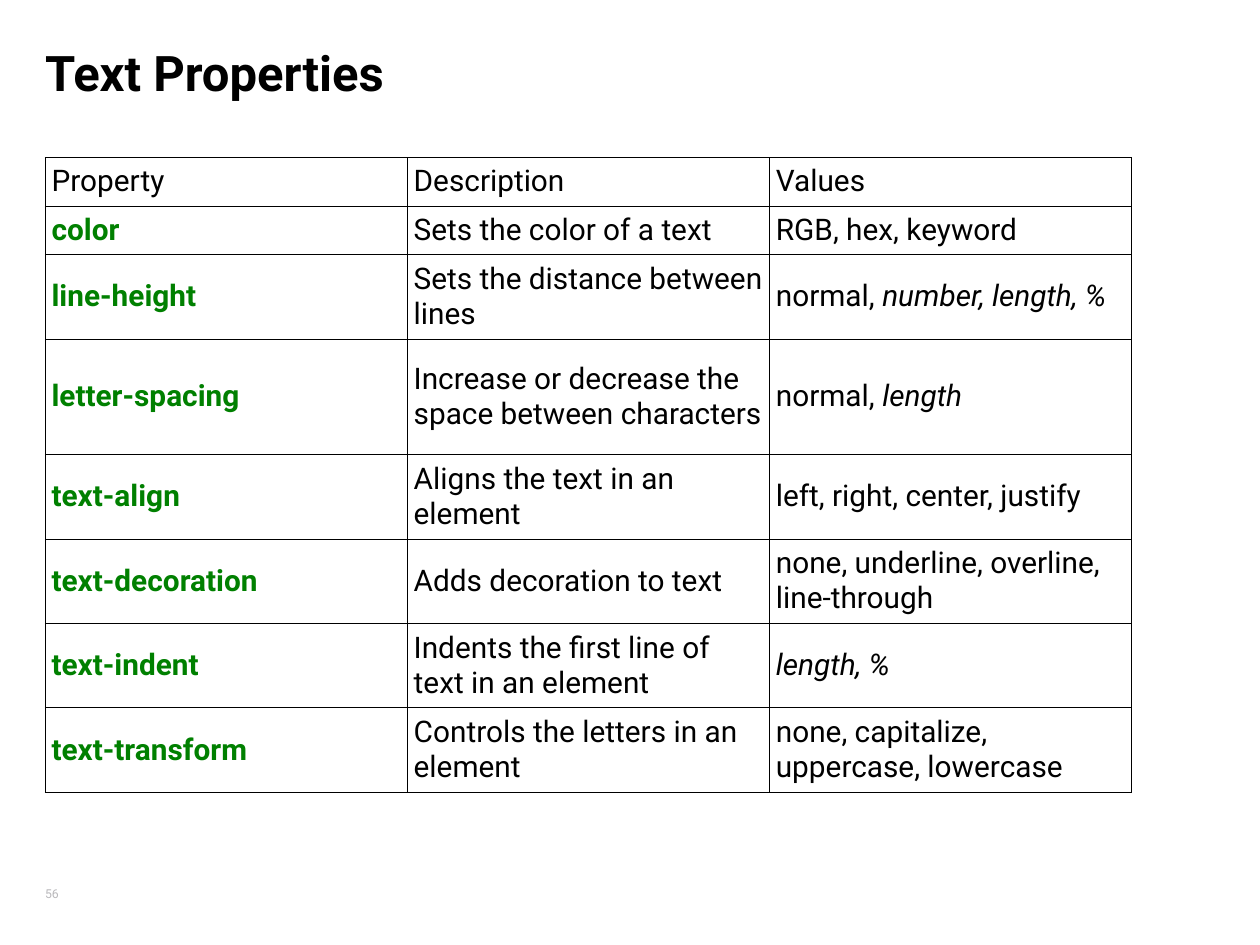
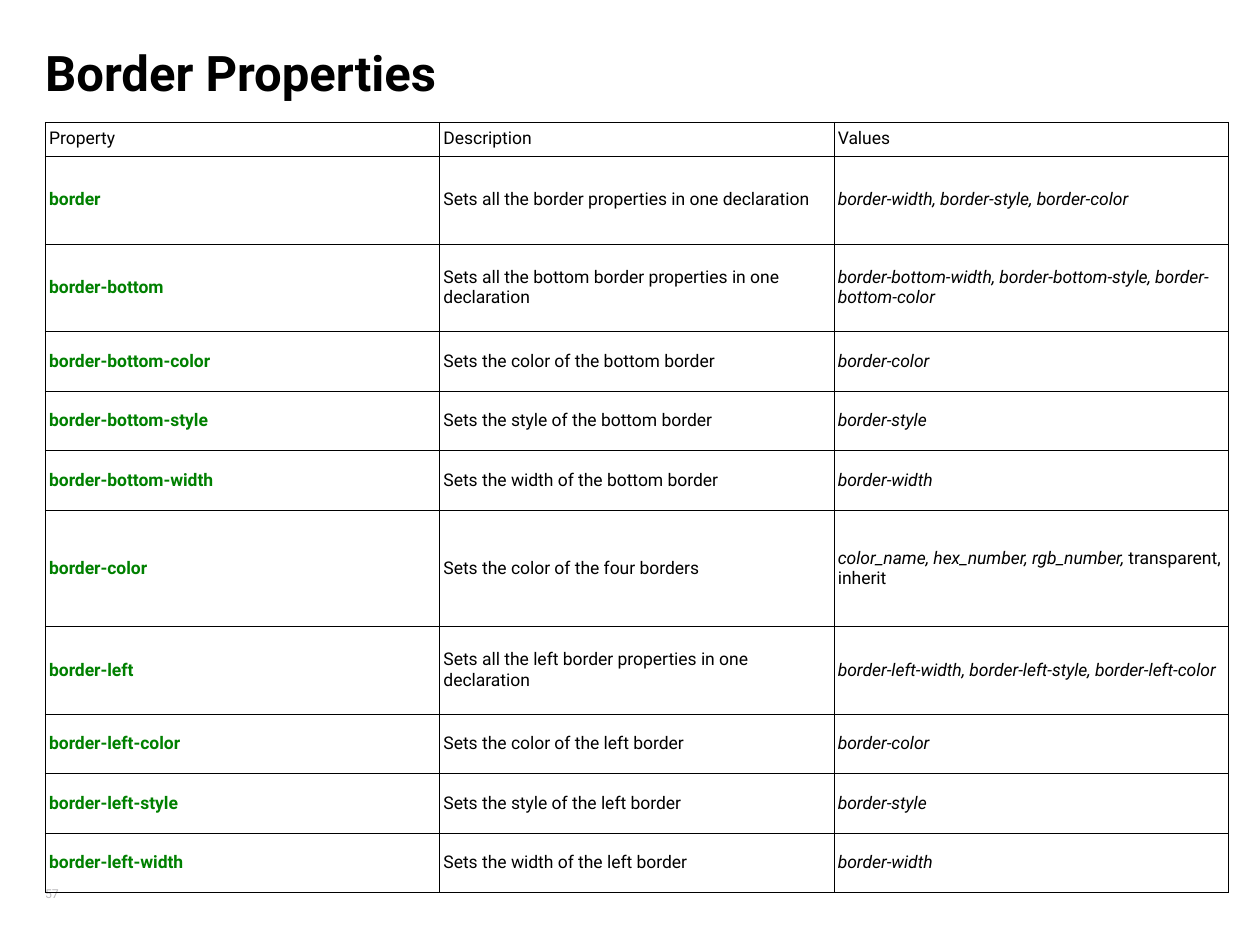
from lxml.etree import SubElement
from pptx import Presentation
from pptx.dml.color import RGBColor
from pptx.enum.text import MSO_ANCHOR as ANC, MSO_AUTO_SIZE as FIT, PP_ALIGN as AL
from pptx.oxml.ns import qn
from pptx.util import Cm, Pt

FONT = "Roboto"
BLACK, GREEN, GREY = "000000", "008000", "B9B8BB"
LEFT = 0.91
HEADER = ("Property", "Description", "Values")

TEXT_ROWS = [
    (0.84, "color", "Sets the color of a text", "RGB, hex, keyword"),
    (1.57, "line-height", "Sets the distance between lines", "normal, *number, length, %*"),
    (2.33, "letter-spacing", "Increase or decrease the space between characters",
     "normal, *length*"),
    (1.57, "text-align", "Aligns the text in an element", "left, right, center, justify"),
    (1.57, "text-decoration", "Adds decoration to text",
     "none, underline, overline, line-through"),
    (1.57, "text-indent", "Indents the first line of text in an element", "*length, %*"),
    (1.57, "text-transform", "Controls the letters in an element",
     "none, capitalize, uppercase, lowercase"),
]


def rgb(color):
    return RGBColor.from_string(color)


def write(tf, text, size=10, color=BLACK, bold=False, anchor=ANC.MIDDLE):
    """Fill a text frame with one paragraph; text between asterisks is italic."""
    tf.vertical_anchor = anchor
    p = tf.paragraphs[0]
    p.alignment = AL.LEFT
    for i, part in enumerate(text.split("*")):
        if part:
            r = p.add_run()
            r.text = part
            f = r.font
            f.name, f.size, f.bold, f.italic = FONT, Pt(size), bold, i % 2 == 1
            f.color.rgb = rgb(color)


def set_margins(obj, left, top, right, bottom):
    obj.margin_left, obj.margin_top = Cm(left), Cm(top)
    obj.margin_right, obj.margin_bottom = Cm(right), Cm(bottom)


def set_borders(cell, color=BLACK, width=0.34):
    tcPr = cell._tc.get_or_add_tcPr()
    for side in ("lnL", "lnR", "lnT", "lnB"):
        ln = SubElement(tcPr, qn(f"a:{side}"), w=str(Pt(width)))
        fill = SubElement(ln, qn("a:solidFill"))
        SubElement(fill, qn("a:srgbClr"), val=color)


class Deck:
    def __init__(self):
        self.prs = Presentation()
        self.prs.slide_width, self.prs.slide_height = Cm(25.4), Cm(19.05)

    def slide(self, title, number):
        self.s = self.prs.slides.add_slide(self.prs.slide_layouts[5])
        self.title(title)
        self.number(number)

    def title(self, text):
        sp = self.s.shapes.title
        sp.left, sp.top, sp.width, sp.height = Cm(LEFT), Cm(0.86), Cm(22.56), Cm(1.6)
        tf = sp.text_frame
        tf.auto_size, tf.word_wrap = FIT.NONE, True
        set_margins(tf, 0, 0, 0, 0)
        write(tf, text, size=28, bold=True, anchor=ANC.TOP)

    def number(self, number):
        sp = self.s.shapes.add_textbox(Cm(LEFT), Cm(17.73), Cm(0.89), Cm(0.56))
        tf = sp.text_frame
        tf.word_wrap = False
        set_margins(tf, 0, 0.13, 0.25, 0.13)
        write(tf, str(number), size=7, color=GREY)

    def table(self, rows, top, col_width, size, side_margin):
        height = sum(row[0] for row in rows)
        tbl = self.s.shapes.add_table(len(rows), len(HEADER), Cm(LEFT), Cm(top),
                                      Cm(col_width * len(HEADER)), Cm(height)).table
        tbl.first_row = tbl.horz_banding = False
        for col in tbl.columns:
            col.width = Cm(col_width)
        for i, (row_height, *texts) in enumerate(rows):
            tbl.rows[i].height = Cm(row_height)
            for j, text in enumerate(texts):
                cell = tbl.cell(i, j)
                is_name = i > 0 and j == 0
                set_margins(cell, side_margin, 0.13, side_margin, 0.13)
                cell.vertical_anchor = ANC.MIDDLE
                set_borders(cell)
                cell.fill.background()
                write(cell.text_frame, text, size=size, bold=is_name,
                      color=GREEN if is_name else BLACK, anchor=None)


def side_rows(side):
    """Return the table rows for one side of the border."""
    name = f"border-{side}"
    parts = ("color", "style", "width")
    shorthand = ", ".join(f"{name}-{part}" for part in ("width", "style", "color"))
    return [(1.77, name, f"Sets all the {side} border properties in one declaration",
             f"*{shorthand}*")] + [
        (1.2, f"{name}-{part}", f"Sets the {part} of the {side} border", f"*border-{part}*")
        for part in parts]


def main():
    deck = Deck()

    deck.slide("Text Properties", 56)
    deck.table([(0.84, *HEADER), *TEXT_ROWS], top=3.17, col_width=7.3, size=17,
               side_margin=0.13)

    deck.slide("Border Properties", 57)
    border_rows = [
        (0.64, *HEADER),
        (1.77, "border", "Sets all the border properties in one declaration",
         "*border-width, border-style, border-color*"),
        *side_rows("bottom"),
        (2.34, "border-color", "Sets the color of the four borders",
         "*color_name, hex_number, rgb_number, *transparent, inherit"),
        *side_rows("left"),
    ]
    deck.table(border_rows, top=2.46, col_width=7.95, size=10, side_margin=0.08)

    deck.prs.save("out.pptx")


if __name__ == "__main__":
    main()
